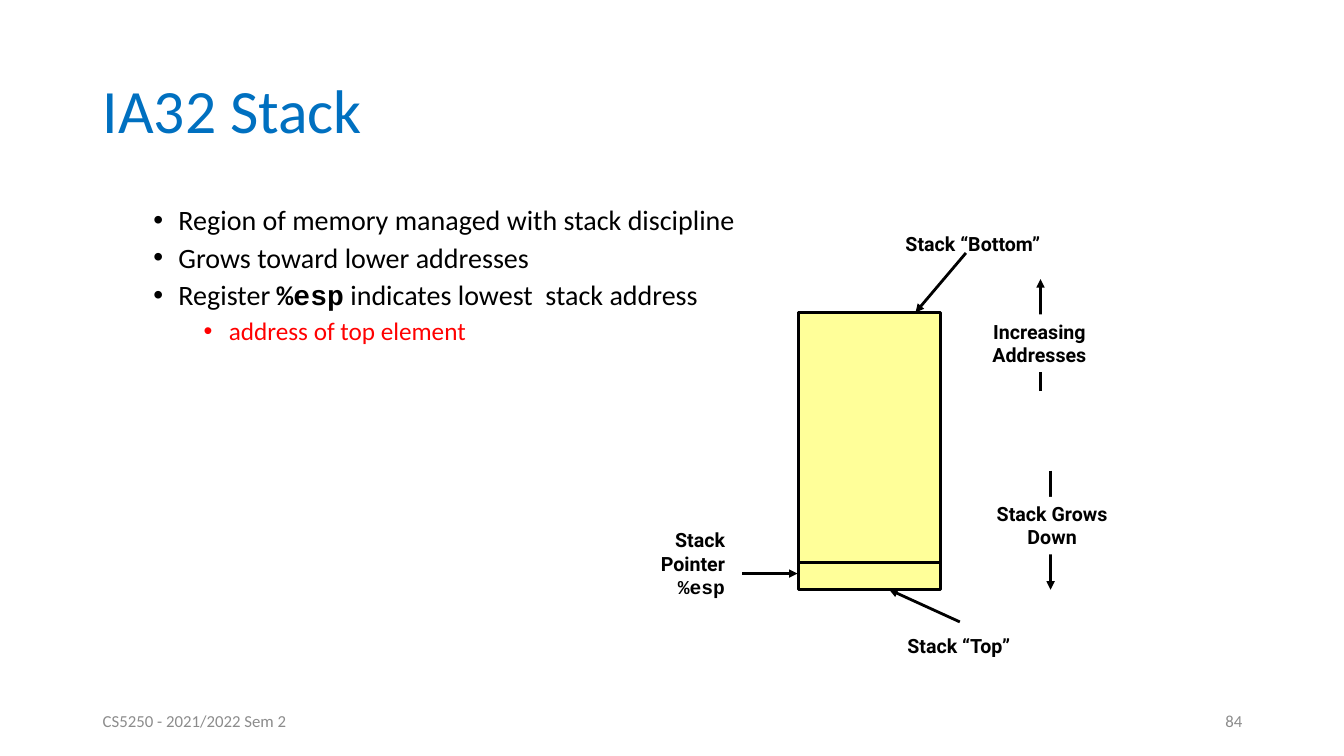
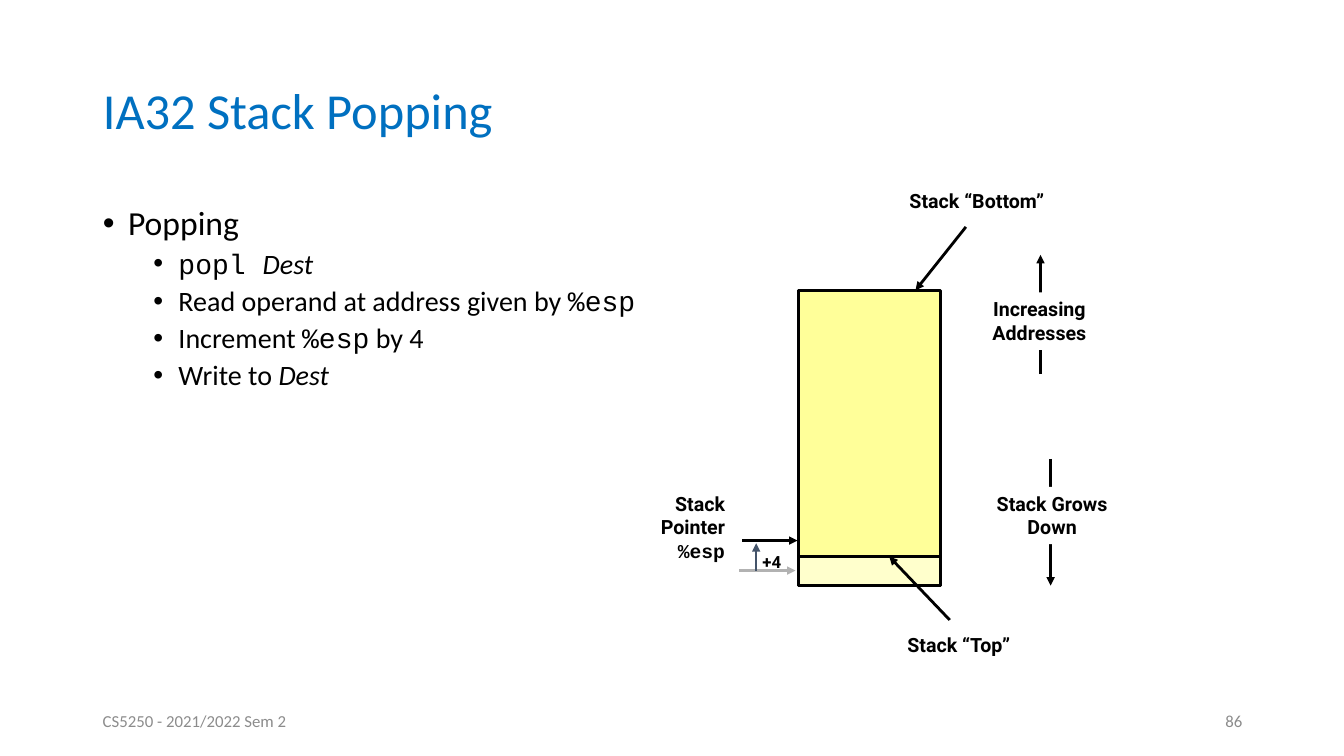
from pptx import Presentation
from pptx.dml.color import RGBColor
from pptx.enum.shapes import MSO_CONNECTOR, MSO_SHAPE
from pptx.enum.text import MSO_ANCHOR, MSO_AUTO_SIZE, PP_ALIGN
from pptx.oxml.ns import qn
from pptx.util import Pt
from lxml import etree

PX = 9144  # 100 px to the inch
LEFT, CENTER, RIGHT = PP_ALIGN.LEFT, PP_ALIGN.CENTER, PP_ALIGN.RIGHT
TOP, MIDDLE = MSO_ANCHOR.TOP, MSO_ANCHOR.MIDDLE
STRAIGHT, RECTANGLE = MSO_CONNECTOR.STRAIGHT, MSO_SHAPE.RECTANGLE

BLACK = RGBColor(0x00, 0x00, 0x00)
WHITE = RGBColor(0xFF, 0xFF, 0xFF)
TITLE_BLUE = RGBColor(0x00, 0x70, 0xC0)
RED = RGBColor(0xFF, 0x00, 0x00)
FOOTER_GRAY = RGBColor(0x8C, 0x8C, 0x8C)
STACK_YELLOW = RGBColor(0xFF, 0xFF, 0x99)
FREED_YELLOW = RGBColor(0xFF, 0xFF, 0xCC)
OLD_GRAY = RGBColor(0xB2, 0xB2, 0xB2)
STEP_SLATE = RGBColor(0x44, 0x54, 0x6A)

BODY_FONT, LABEL_FONT, CODE_FONT = "Calibri", "Roboto", "Courier New"
FOOTER = "CS5250 - 2021/2022 Sem 2"
TITLE_BOX = (92, 40, 1150, 145)
BODY_BOX = (92, 200, 1150, 476)
LEVEL_SIZES = (24, 20, 18)
LEVEL_SPACING = (10, 5, 5)
BASE_HEIGHT = 275  # stack height for which the diagram offsets are given


def px(*lengths):
    return [round(length * PX) for length in lengths]


def style_font(font, size, color, name=BODY_FONT, bold=False, italic=False):
    font.size, font.name = Pt(size), name
    font.bold, font.italic = bold, italic
    font.color.rgb = color


def move(shape, box):
    shape.left, shape.top, shape.width, shape.height = px(*box)


def add_text(shapes, box, lines, size, color=BLACK, font=LABEL_FONT, bold=True,
             align=CENTER, anchor=TOP, fill=None, side_margin=10):
    """Text box with one paragraph a line; register names are set as code."""
    shape = shapes.add_textbox(*px(*box))
    if fill is not None:
        shape.fill.solid()
        shape.fill.fore_color.rgb = fill
    frame = shape.text_frame
    frame.word_wrap, frame.vertical_anchor = True, anchor
    frame.margin_left = frame.margin_right = side_margin * PX
    frame.text = "\n".join(lines)
    for para in frame.paragraphs:
        para.alignment = align
        name = CODE_FONT if para.text.startswith("%") else font
        style_font(para.runs[0].font, size, color, name, bold)


def add_line(shapes, start, end, color=BLACK, width=2, arrow=True):
    line = shapes.add_connector(STRAIGHT, *px(*start, *end))
    line.line.color.rgb = color
    line.line.width = Pt(width)
    if arrow:
        outline = line.line._get_or_add_ln()
        etree.SubElement(outline, qn("a:tailEnd"), type="triangle")
    etree.SubElement(line._element.spPr, qn("a:effectLst"))


def add_block(shapes, box, fill):
    block = shapes.add_shape(RECTANGLE, *px(*box))
    block.shadow.inherit = False
    block.fill.solid()
    block.fill.fore_color.rgb = fill
    block.line.color.rgb = BLACK
    block.line.width = Pt(2)


def add_bullet(para, level, spans, color, first):
    para.level = level
    props = para._p.get_or_add_pPr()
    props.set("marL", str(px(25 + 50 * level)[0]))
    props.set("indent", str(px(-25)[0]))
    etree.SubElement(props, qn("a:buFont"), typeface="Arial")
    etree.SubElement(props, qn("a:buChar"), char="•")
    para.alignment, para.line_spacing = LEFT, 0.9
    para.space_before = Pt(0 if first else LEVEL_SPACING[level])
    for text, style in spans:
        span = para.add_run()
        span.text = text
        style_font(span.font, LEVEL_SIZES[level], color, **style)


def add_page(deck, title, title_size, bullets, number):
    """Slide with title, bullet list and footer."""
    page = deck.slides.add_slide(deck.slide_layouts[1])

    # Title
    heading = page.shapes.title
    move(heading, TITLE_BOX)
    frame = heading.text_frame
    frame.auto_size, frame.vertical_anchor = MSO_AUTO_SIZE.NONE, MIDDLE
    frame.text = title
    para = frame.paragraphs[0]
    para.alignment, para.line_spacing = LEFT, 0.9
    style_font(para.runs[0].font, title_size, TITLE_BLUE)

    # Bullet list
    body = page.placeholders[1]
    move(body, BODY_BOX)
    frame = body.text_frame
    frame.auto_size, frame.vertical_anchor = MSO_AUTO_SIZE.NONE, TOP
    for index, (level, color, spans) in enumerate(bullets):
        para = frame.add_paragraph() if index else frame.paragraphs[0]
        add_bullet(para, level, spans, color, index == 0)

    # Footer and slide number
    for left, text, align in ((92, FOOTER, LEFT), (942, number, RIGHT)):
        add_text(page.shapes, (left, 695, 300, 40), [text], 12, FOOTER_GRAY,
                 BODY_FONT, False, align, MIDDLE)
    return page


def add_stack(page, box, pointer, bottom_label, top_arrow):
    """Stack diagram; box is the stack itself, the other parts are offsets
    from its top left corner, stretched with its height."""
    left, top, width, height = box
    shapes = page.shapes.add_group_shape().shapes

    def at(x, y):
        return left + x, top + y * height / BASE_HEIGHT

    # Stack pointer
    add_line(shapes, at(-56, pointer), at(-1, pointer))
    add_text(shapes, (*at(-151, pointer - 50), 88, 80),
             ["Stack", "Pointer", "%esp"], 14, align=RIGHT)

    # Stack body
    add_block(shapes, box, STACK_YELLOW)
    add_line(shapes, at(0, 248), at(width, 248), arrow=False)

    # Directions: the label covers the middle of its arrow
    for x, start, end, label_at, label_width, lines in (
        (250, 157, 275, (182, 183), 139, ["Stack Grows", "Down"]),
        (240, 78, -33, (179, 2), 120, ["Increasing", "Addresses"]),
    ):
        add_line(shapes, at(x, start), at(x, end))
        add_text(shapes, (*at(*label_at), label_width, 57), lines, 14, fill=WHITE)

    # Both ends of the stack
    for label_at, label_width, text, start, end in (
        ((93, 314), 132, "Stack “Top”", *top_arrow),
        (bottom_label, 166, "Stack “Bottom”", (166, -59), (116, 0)),
    ):
        add_text(shapes, (*at(*label_at), label_width, 33), [text], 14, fill=WHITE)
        if text.endswith("Top”"):
            freed_top = at(0, 248)[1]
            if end[1] < BASE_HEIGHT:
                add_block(shapes, (left, freed_top, width, top + height - freed_top),
                          FREED_YELLOW)
        add_line(shapes, at(*start), at(*end))


def add_pointer_step(page, left, top):
    """Former pointer position and the step up to the new one."""
    shapes = page.shapes.add_group_shape().shapes
    add_line(shapes, (left, top + 30), (left + 56, top + 30), OLD_GRAY)
    add_text(shapes, (left + 18, top + 6, 29, 28), ["+4"], 12, side_margin=0)
    add_line(shapes, (left + 17, top + 30), (left + 17, top + 3), STEP_SLATE, 1.5)


def main():
    deck = Presentation()
    deck.slide_width, deck.slide_height = px(1333, 750)
    plain, code, italic = {}, {"name": CODE_FONT}, {"italic": True}
    bold_code = {"name": CODE_FONT, "bold": True}

    # Stack layout
    page = add_page(deck, "IA32 Stack", 44, [
        (1, BLACK, [("Region of memory managed with stack discipline", plain)]),
        (1, BLACK, [("Grows toward lower addresses", plain)]),
        (1, BLACK, [("Register ", plain), ("%esp", bold_code),
                    (" indicates lowest  stack address", plain)]),
        (2, RED, [("address of top element", plain)]),
    ], "84")
    add_stack(page, (792, 310, 141, 275), pointer=259, bottom_label=(90, -85),
              top_arrow=((160, 307), (90, 275)))

    # Popping
    page = add_page(deck, "IA32 Stack Popping", 36, [
        (0, BLACK, [("Popping", plain)]),
        (1, BLACK, [("popl ", code), ("Dest", italic)]),
        (1, BLACK, [("Read operand at address given by ", plain), ("%esp", code)]),
        (1, BLACK, [("Increment ", plain), ("%esp", code), (" by 4", plain)]),
        (1, BLACK, [("Write to ", plain), ("Dest", italic)]),
    ], "86")
    add_stack(page, (792, 288, 141, 293), pointer=233, bottom_label=(94, -99),
              top_arrow=((150, 307), (90, 248)))
    add_pointer_step(page, 733, 536)

    deck.save("out.pptx")


if __name__ == "__main__":
    main()
